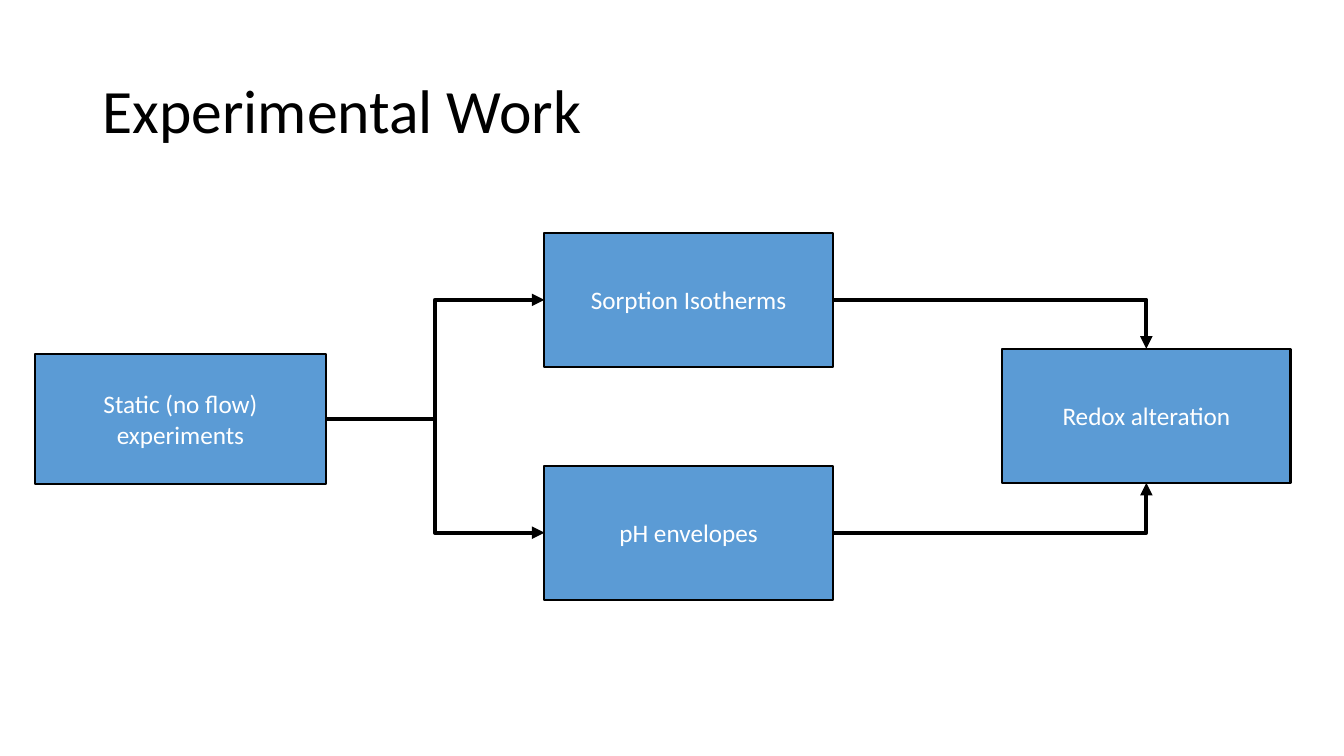
from lxml import etree
from pptx import Presentation
from pptx.dml.color import RGBColor
from pptx.enum.shapes import MSO_CONNECTOR, MSO_SHAPE
from pptx.enum.text import MSO_ANCHOR, PP_ALIGN
from pptx.oxml.ns import qn
from pptx.util import Inches, Pt

BLACK = RGBColor(0x00, 0x00, 0x00)
WHITE = RGBColor(0xFF, 0xFF, 0xFF)
BLUE = RGBColor(0x5B, 0x9B, 0xD5)
TOP, LEFT, BOTTOM, RIGHT = range(4)  # connection sites of a rectangle


def write_text(shape, text, size=18, color=WHITE, align=PP_ALIGN.CENTER, line_spacing=1.0):
    frame = shape.text_frame
    frame.word_wrap = True
    frame.vertical_anchor = MSO_ANCHOR.MIDDLE
    paragraph = frame.paragraphs[0]
    paragraph.alignment = align
    paragraph.line_spacing = line_spacing
    run = paragraph.add_run()
    run.text = text
    run.font.name = "Calibri"
    run.font.size = Pt(size)
    run.font.color.rgb = color


presentation = Presentation()
presentation.slide_width = Inches(13.33)
presentation.slide_height = Inches(7.5)
slide = presentation.slides.add_slide(presentation.slide_layouts[6])

title = slide.shapes.add_textbox(Inches(0.92), Inches(0.4), Inches(11.5), Inches(1.45))
write_text(title, "Experimental Work", size=44, color=BLACK, align=PP_ALIGN.LEFT, line_spacing=0.9)

steps = [
    ("Static (no flow) experiments", 0.35, 3.51, 2.88, 1.29),
    ("Sorption Isotherms", 5.4, 2.31, 2.86, 1.33),
    ("pH envelopes", 5.4, 4.62, 2.86, 1.33),
    ("Redox alteration", 9.94, 3.46, 2.86, 1.33),
]
boxes = []
for text, *bounds in steps:
    box = slide.shapes.add_shape(MSO_SHAPE.RECTANGLE, *map(Inches, bounds))
    box.shadow.inherit = False
    box.fill.solid()
    box.fill.fore_color.rgb = BLUE
    box.line.color.rgb = BLACK
    box.line.width = Pt(1.5)
    write_text(box, text)
    boxes.append(box)
static, isotherms, envelopes, redox = boxes

arrows = [
    (static, isotherms, LEFT, "bentConnector3"),
    (static, envelopes, LEFT, "bentConnector3"),
    (envelopes, redox, BOTTOM, "bentConnector2"),
    (isotherms, redox, TOP, "bentConnector2"),
]
for source, target, target_site, geometry in arrows:
    arrow = slide.shapes.add_connector(MSO_CONNECTOR.ELBOW, 0, 0, 0, 0)
    arrow.begin_connect(source, RIGHT)
    arrow.end_connect(target, target_site)
    arrow.line.color.rgb = BLACK
    arrow.line.width = Pt(3)
    properties = arrow._element.spPr
    properties.find(qn("a:prstGeom")).set("prst", geometry)
    etree.SubElement(properties.find(qn("a:ln")), qn("a:tailEnd"), type="triangle")
    etree.SubElement(properties, qn("a:effectLst"))

presentation.save("out.pptx")
